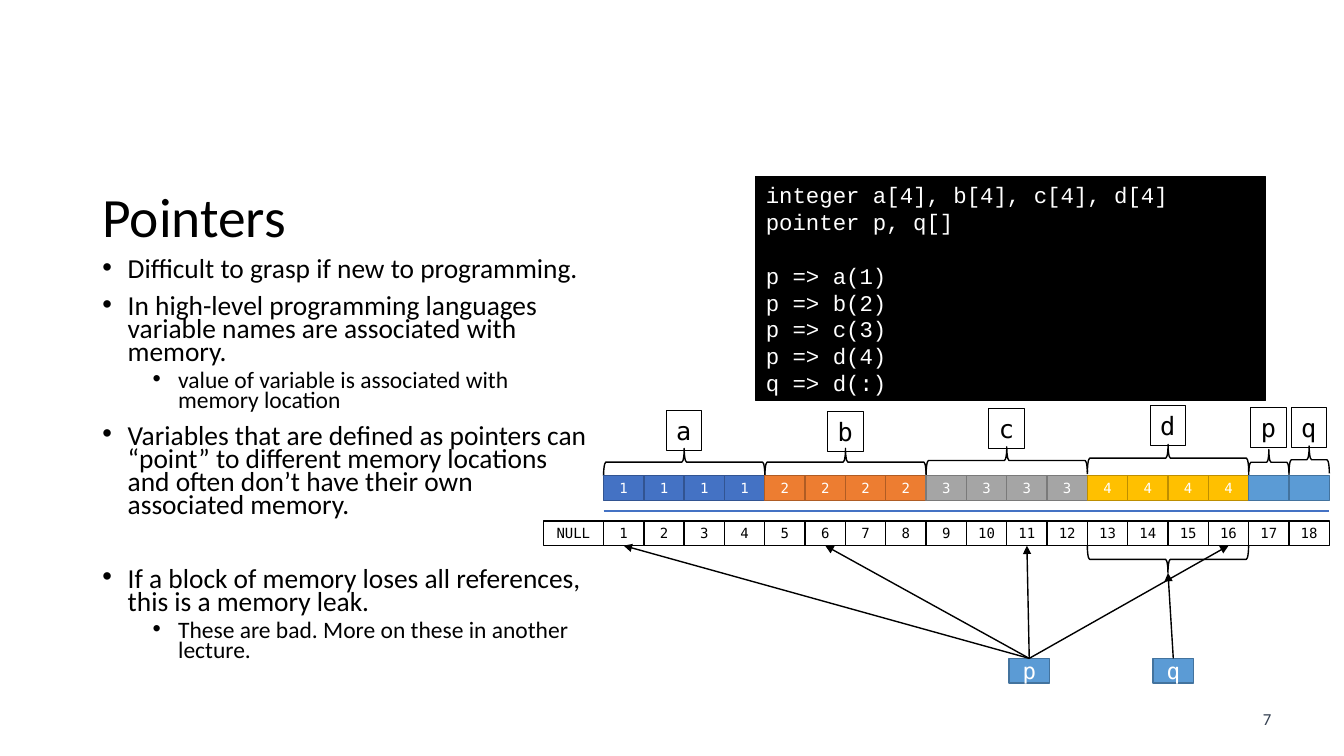
from lxml import etree
from pptx import Presentation
from pptx.dml.color import RGBColor
from pptx.enum.shapes import MSO_CONNECTOR, MSO_SHAPE
from pptx.enum.text import MSO_ANCHOR, PP_ALIGN
from pptx.oxml.ns import qn
from pptx.util import Cm, Pt

RECT, BRACE = MSO_SHAPE.RECTANGLE, MSO_SHAPE.LEFT_BRACE
STRAIGHT = MSO_CONNECTOR.STRAIGHT
TOP, MIDDLE = MSO_ANCHOR.TOP, MSO_ANCHOR.MIDDLE
LEFT, CENTER = PP_ALIGN.LEFT, PP_ALIGN.CENTER

SANS, CODE, MONO = "Calibri", "Courier New", "DejaVu Sans Mono"
COLORS = {
    "black": "000000", "white": "FFFFFF", "number": "333F50",
    "blue": "4472C4", "blue_edge": "325491",
    "orange": "ED7D31", "orange_edge": "AF5C24",
    "gray": "A5A5A5", "gray_edge": "7A7A7A",
    "gold": "FFC000", "gold_edge": "BD8E00",
    "sky": "5B9BD5", "sky_edge": "43739E",
}

# text, level, space before in points
BULLETS = [
    ("Difficult to grasp if new to programming.", 0, 0),
    ("In high-level programming languages variable names are associated with memory.", 0, 10),
    ("value of variable is associated with memory location", 1, 5),
    ("Variables that are defined as pointers can “point” to different memory "
     "locations and often don’t have their own associated memory.", 0, 10),
    ("If a block of memory loses all references, this is a memory leak.", 0, 36.5),
    ("These are bad. More on these in another lecture.", 1, 5),
]
# text, space before in points
CODE_LINES = [
    ("integer a[4], b[4], c[4], d[4]", 0), ("pointer p, q[]", 0),
    ("p => a(1)", 19), ("p => b(2)", 0), ("p => c(3)", 0),
    ("p => d(4)", 0), ("q => d(:)", 0),
]
# name, cells, value, fill, label top, brace top, brace height (cm in the diagram)
VARIABLES = [
    ("a", 4, "1", "blue", 0.14, 1.1, 0.69),
    ("b", 4, "2", "orange", 0.16, 1.1, 0.69),
    ("c", 4, "3", "gray", 0.09, 1.06, 0.69),
    ("d", 4, "4", "gold", 0.01, 1, 0.69),
    ("p", 1, "", "sky", 0.06, 1.13, 0.64),
    ("q", 1, "", "sky", 0.06, 1.04, 0.69),
]
CELL_H = 0.62


def rgb(name):
    return RGBColor.from_string(COLORS[name])


def add_run(p, text, size, font, color):
    r = p.add_run()
    r.text = text
    r.font.size, r.font.name = Pt(size), font
    r.font.color.rgb = rgb(color)


def add_rect(s, box, fill, edge, weight=1):
    sp = s.shapes.add_shape(RECT, *map(Cm, box))
    sp.shadow.inherit = False
    if fill:
        sp.fill.solid()
        sp.fill.fore_color.rgb = rgb(fill)
    else:
        sp.fill.background()
    sp.line.color.rgb = rgb(edge)
    sp.line.width = Pt(weight)
    return sp


def add_cell(s, box, text, fill="white", edge="black", color="black", size=10):
    sp = add_rect(s, box, fill, edge)
    tf = sp.text_frame
    tf.vertical_anchor = MIDDLE
    p = tf.paragraphs[0]
    p.alignment = CENTER
    if text:
        add_run(p, text, size, MONO, color)
    return sp


def add_brace(s, box, rotation):
    """Brace lying along the top (90) or bottom (270) of a row."""
    x, y, w, h = box
    sp = s.shapes.add_shape(BRACE, Cm(x + (w - h) / 2), Cm(y + (h - w) / 2), Cm(h), Cm(w))
    sp.rotation = rotation
    sp.shadow.inherit = False
    sp.fill.background()
    sp.line.color.rgb = rgb("black")
    sp.line.width = Pt(1)


def add_line(s, start, end, color="black", arrow=False):
    cx = s.shapes.add_connector(STRAIGHT, *map(Cm, (*start, *end)))
    cx.line.color.rgb = rgb(color)
    cx.line.width = Pt(1)
    if arrow:
        etree.SubElement(cx.line._get_or_add_ln(), qn("a:tailEnd"), type="triangle")
    etree.SubElement(cx._element.spPr, qn("a:effectLst"))
    return cx


def add_textbox(s, box):
    tf = s.shapes.add_textbox(*map(Cm, box)).text_frame
    tf.word_wrap = True
    return tf


def add_title(s, box, text):
    tf = add_textbox(s, box)
    tf.vertical_anchor = MIDDLE
    p = tf.paragraphs[0]
    p.line_spacing = 0.9
    add_run(p, text, 39.6, SANS, "black")


def add_bullets(s, box):
    tf = add_textbox(s, box)
    for i, (text, level, before) in enumerate(BULLETS):
        p = tf.add_paragraph() if i else tf.paragraphs[0]
        p.level = level
        pPr = p._p.get_or_add_pPr()
        pPr.set("marL", str(Cm((0.64, 1.91)[level])))
        pPr.set("indent", str(-Cm(0.64)))
        etree.SubElement(pPr, qn("a:buFont"), typeface="Arial")
        etree.SubElement(pPr, qn("a:buChar"), char="•")
        p.line_spacing = 0.7
        p.space_before = Pt(before)
        add_run(p, text, (19.6, 16.8)[level], SANS, "black")


def add_code(s, box):
    tf = add_rect(s, box, "black", "black", 0.75).text_frame
    tf.vertical_anchor = TOP
    for i, (text, before) in enumerate(CODE_LINES):
        p = tf.add_paragraph() if i else tf.paragraphs[0]
        p.alignment = LEFT
        p.space_before = Pt(before)
        add_run(p, text, 16, CODE, "white")


def add_name_label(s, center, y, name):
    tf = add_rect(s, (center - 0.45, y, 0.9, 1.02), None, "black", 0.75).text_frame
    tf.word_wrap = False
    tf.vertical_anchor = TOP
    p = tf.paragraphs[0]
    p.alignment = LEFT
    add_run(p, name, 18, MONO, "black")


def add_memory(s, box):
    x, y, w, h = box
    null_w = 1.52
    row_x, row_w = x + null_w, w - null_w
    cell_w = row_w / sum(v[1] for v in VARIABLES)
    address_y, pointer_y = y + 2.93, y + h - CELL_H

    # Named variables and their values
    first = 0
    for name, count, value, fill, label_y, brace_y, brace_h in VARIABLES:
        left, width = row_x + first * cell_w, count * cell_w
        add_brace(s, (left, y + brace_y, width, brace_h), 90)
        add_name_label(s, left + width / 2, y + label_y, name)
        for i in range(count):
            add_cell(s, (left + i * cell_w, y + 1.79, cell_w, CELL_H),
                     value, fill, fill + "_edge", "white")
        first += count
    add_line(s, (row_x, y + 2.68), (row_x + row_w, y + 2.68), "blue")

    # Memory addresses
    add_cell(s, (x, address_y, null_w, CELL_H), "NULL")
    cells = [add_cell(s, (row_x + i * cell_w, address_y, cell_w, CELL_H), str(i + 1))
             for i in range(first)]
    d_left = row_x + 12 * cell_w
    add_brace(s, (d_left, address_y + CELL_H, 4 * cell_w, 0.69), 270)

    # Pointers and their targets
    p_box, q_box = [
        add_cell(s, (x + dx, pointer_y, cell_w, CELL_H), name, "sky", "sky_edge", "white", 16)
        for name, dx in (("p", 11.74), ("q", 15.37))]
    for address in (1, 6, 11, 16):
        cx = add_line(s, (x, y), (x, y), arrow=True)
        cx.begin_connect(p_box, 0)
        cx.end_connect(cells[address - 1], 2)
    tip = (d_left + 2 * cell_w, address_y + CELL_H + 0.69)
    add_line(s, (x, y), tip, arrow=True).begin_connect(q_box, 0)


def add_slide_number(s, box, number):
    p = add_textbox(s, box).paragraphs[0]
    p.alignment = CENTER
    add_run(p, number, 12, SANS, "number")


def main():
    prs = Presentation()
    prs.slide_width, prs.slide_height = Cm(33.87), Cm(19.05)
    s = prs.slides.add_slide(prs.slide_layouts[6])
    add_slide_number(s, (31.34, 17.73, 1.19, 0.76), "7")
    add_code(s, (19.05, 4.45, 12.85, 5.64))
    add_title(s, (2.33, 4.65, 29.21, 1.78), "Pointers")
    add_bullets(s, (2.33, 6.43, 12.85, 11.07))
    add_memory(s, (13.69, 10.2, 19.81, 7.01))
    prs.save("out.pptx")


if __name__ == "__main__":
    main()
